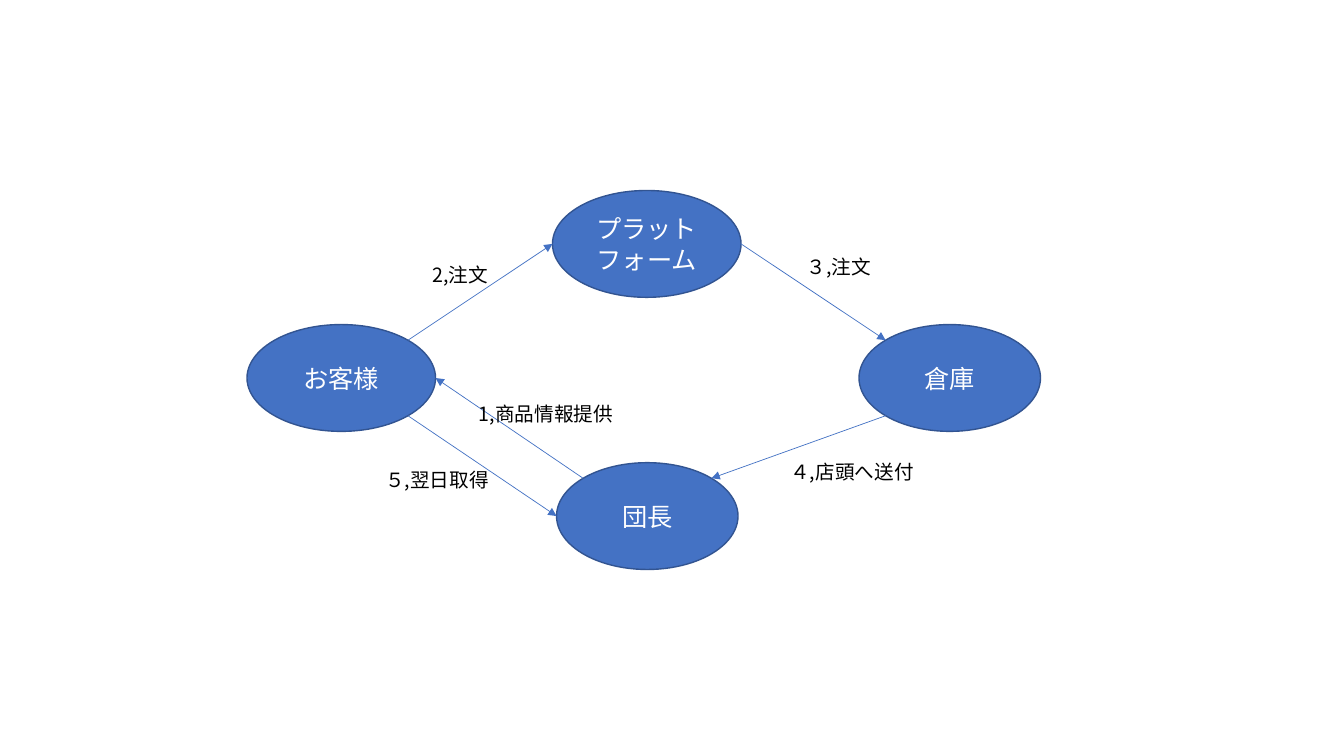
import math

import lxml.etree
import pptx
import pptx.dml.color
import pptx.enum.shapes
import pptx.enum.text
import pptx.oxml.ns
import pptx.util

Inches = pptx.util.Inches
FONT = "Noto Sans CJK JP"
COLORS = {"fill": "4472C4", "outline": "325491", "arrow": "4472C4",
          "node_text": "FFFFFF", "label_text": "000000"}
NODE_HEIGHT = 1.06
LABEL_HEIGHT = 0.34
DIAGONAL = math.sqrt(0.5)
SITES = {"left": (-1, 0), "right": (1, 0),
         "top_left": (-DIAGONAL, -DIAGONAL), "top_right": (DIAGONAL, -DIAGONAL),
         "bottom_left": (-DIAGONAL, DIAGONAL), "bottom_right": (DIAGONAL, DIAGONAL)}

NODES = {
    "platform": ("プラットフォーム", 5.48, 1.89, 1.87),
    "customer": ("お客様", 2.45, 3.22, 1.87),
    "leader": ("団長", 5.52, 4.59, 1.8),
    "warehouse": ("倉庫", 8.52, 3.22, 1.8),
}
STEPS = [
    ("leader", "top_left", "customer", "right", "1,商品情報提供", 4.65, 3.94, 1.55),
    ("customer", "top_right", "platform", "left", "2,注文", 4.19, 2.56, 0.88),
    ("platform", "right", "warehouse", "top_left", "３,注文", 7.9, 2.48, 0.88),
    ("warehouse", "bottom_left", "leader", "top_right", "４,店頭へ送付", 7.74, 4.51, 1.49),
    ("customer", "bottom_right", "leader", "left", "５,翌日取得", 3.72, 4.59, 1.49),
]


def color(name):
    """Return the named colour."""
    return pptx.dml.color.RGBColor.from_string(COLORS[name])


def write_text(shape, text, size, color_name, frame_format, alignment):
    """Write one formatted paragraph into a shape."""
    frame = shape.text_frame
    for attribute, value in frame_format.items():
        setattr(frame, attribute, value)
    paragraph = frame.paragraphs[0]
    paragraph.alignment = alignment
    run = paragraph.add_run()
    run.text = text
    for attribute, value in {"name": FONT, "size": pptx.util.Pt(size)}.items():
        setattr(run.font, attribute, value)
    run.font.color.rgb = color(color_name)
    east_asian = lxml.etree.SubElement(run.font._element, pptx.oxml.ns.qn("a:ea"))
    east_asian.set("typeface", FONT)


def add_node(slide, text, left, top, width):
    """Add one participant as an ellipse."""
    shape = slide.shapes.add_shape(
        pptx.enum.shapes.MSO_SHAPE.OVAL,
        Inches(left), Inches(top), Inches(width), Inches(NODE_HEIGHT))
    shape.shadow.inherit = False
    shape.fill.solid()
    shape.fill.fore_color.rgb = color("fill")
    shape.line.color.rgb = color("outline")
    shape.line.width = pptx.util.Pt(1)
    write_text(shape, text, 18, "node_text",
               {"word_wrap": True, "vertical_anchor": pptx.enum.text.MSO_ANCHOR.MIDDLE},
               pptx.enum.text.PP_ALIGN.CENTER)
    return shape


def site_point(node, site):
    """Return the point of a named site on an ellipse's edge."""
    across, down = SITES[site]
    return (round(node.left + node.width * (1 + across) / 2),
            round(node.top + node.height * (1 + down) / 2))


def add_arrow(slide, start, end):
    """Add a thin arrow between two points."""
    connector = slide.shapes.add_connector(
        pptx.enum.shapes.MSO_CONNECTOR.STRAIGHT, *start, *end)
    connector.line.color.rgb = color("arrow")
    connector.line.width = pptx.util.Pt(0.5)
    arrowhead = lxml.etree.SubElement(
        connector.line._get_or_add_ln(), pptx.oxml.ns.qn("a:tailEnd"))
    arrowhead.set("type", "triangle")
    lxml.etree.SubElement(connector._element.spPr, pptx.oxml.ns.qn("a:effectLst"))


def add_label(slide, text, left, top, width):
    """Add the caption of one step."""
    box = slide.shapes.add_textbox(
        Inches(left), Inches(top), Inches(width), Inches(LABEL_HEIGHT))
    write_text(box, text, 14, "label_text",
               {"word_wrap": True,
                "auto_size": pptx.enum.text.MSO_AUTO_SIZE.SHAPE_TO_FIT_TEXT},
               pptx.enum.text.PP_ALIGN.LEFT)


def add_order_flow(slide, left, top):
    """Draw the order flow relative to the given corner."""
    nodes = {key: add_node(slide, text, left + x, top + y, width)
             for key, (text, x, y, width) in NODES.items()}
    for source, source_site, target, target_site, text, x, y, width in STEPS:
        add_arrow(slide, site_point(nodes[source], source_site),
                  site_point(nodes[target], target_site))
        add_label(slide, text, left + x, top + y, width)


def main():
    """Build and save the presentation."""
    presentation = pptx.Presentation()
    presentation.slide_width = Inches(13.33)
    presentation.slide_height = Inches(7.5)
    slide = presentation.slides.add_slide(presentation.slide_layouts[6])
    add_order_flow(slide, 0, 0)
    presentation.save("out.pptx")


if __name__ == "__main__":
    main()
